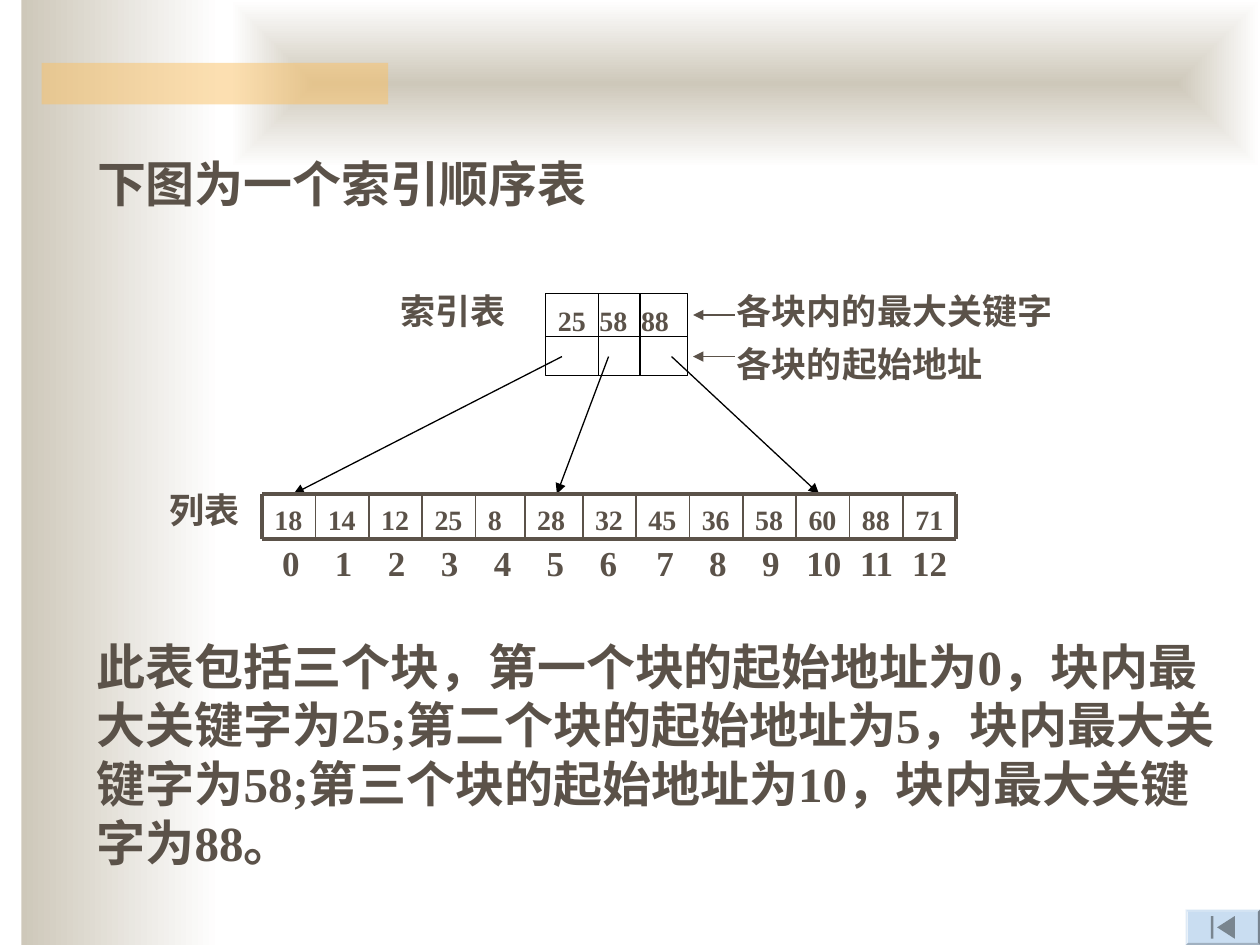
from dataclasses import dataclass
from itertools import accumulate

import pptx
import pptx.dml.color
import pptx.enum.shapes
import pptx.enum.text
import pptx.oxml.ns
import pptx.util
from lxml import etree
from pptx.util import Inches

COLORS = {
    "text": "5B5249",
    "black": "000000",
    "sand": "CEC8BA",
    "white": "FFFFFF",
    "accent": "FAC164",
    "button": "C9DDF1",
    "icon": "79858F",
}
FONT = "Times New Roman"
SHAPE = pptx.enum.shapes.MSO_SHAPE
qn = pptx.oxml.ns.qn


@dataclass
class Label:
    text: str
    left: float
    top: float
    width: float
    height: float = 0.44
    size: int = 20
    margin_top: float = 0.05


@dataclass
class Line:
    start: tuple[float, float]
    end: tuple[float, float]
    color: str = "black"
    width: float = 0.75
    arrow: bool = False


def rgb(name: str):
    return pptx.dml.color.RGBColor.from_string(COLORS[name])


def fill_text(shape, label: Label) -> None:
    """Place a text shape and give it the label's wording."""
    shape.left, shape.top = Inches(label.left), Inches(label.top)
    shape.width, shape.height = Inches(label.width), Inches(label.height)
    frame = shape.text_frame
    frame.word_wrap = True
    frame.auto_size = pptx.enum.text.MSO_AUTO_SIZE.NONE
    frame.vertical_anchor = pptx.enum.text.MSO_ANCHOR.TOP
    frame.margin_top = Inches(label.margin_top)
    paragraph = frame.paragraphs[0]
    paragraph.text = label.text
    paragraph.alignment = pptx.enum.text.PP_ALIGN.LEFT
    font = paragraph.font
    font.name = FONT
    font.size = pptx.util.Pt(label.size)
    font.bold = True
    font.color.rgb = rgb("text")


def add_label(slide, label: Label):
    shape = slide.shapes.add_textbox(0, 0, 0, 0)
    fill_text(shape, label)
    return shape


def set_tabs(shape, stops: list[float], alignment: str) -> None:
    properties = shape.text_frame.paragraphs[0]._p.get_or_add_pPr()
    tabs = etree.Element(qn("a:tabLst"))
    for stop in stops:
        etree.SubElement(tabs, qn("a:tab"), pos=str(Inches(stop)), algn=alignment)
    properties.insert(0, tabs)


def add_block(slide, kind, left: float, top: float, width: float, height: float, color: str):
    shape = slide.shapes.add_shape(
        kind, Inches(left), Inches(top), Inches(width), Inches(height))
    paint(shape, color)
    return shape


def paint(shape, color: str) -> None:
    shape.shadow.inherit = False
    shape.line.fill.background()
    shape.fill.solid()
    shape.fill.fore_color.rgb = rgb(color)


def set_gradient(shape) -> None:
    """Fade the shape from sand to white, left to right."""
    shape.fill.gradient()
    shape.fill.gradient_angle = 0
    for stop, (position, color) in zip(shape.fill.gradient_stops, ((0, "sand"), (1, "white"))):
        stop.position = position
        stop.color.rgb = rgb(color)


def add_backdrop(slide) -> None:
    set_gradient(add_block(slide, SHAPE.RECTANGLE, 0.17, 0, 1.58, 7.5, "sand"))

    banner = add_block(slide, SHAPE.RECTANGLE, 1.83, 0, 8.17, 1.33, "sand")
    set_gradient(banner)
    linear = banner.element.find(".//" + qn("a:lin"))
    centered = etree.Element(qn("a:path"), path="rect")
    etree.SubElement(centered, qn("a:fillToRect"), l="50000", t="50000", r="50000", b="50000")
    linear.getparent().replace(linear, centered)

    bar = add_block(slide, SHAPE.RECTANGLE, 0.33, 0.5, 2.75, 0.33, "accent")
    color = bar.element.spPr.find(qn("a:solidFill"))[0]
    etree.SubElement(color, qn("a:alpha"), val="50000")


def add_start_button(slide) -> None:
    button = add_block(slide, SHAPE.BEVEL, 9.41, 7.22, 0.59, 0.28, "button")
    button.adjustments[0] = 0.06
    add_block(slide, SHAPE.RECTANGLE, 9.61, 7.27, 0.02, 0.18, "icon")
    builder = slide.shapes.build_freeform(Inches(9.66), Inches(7.36))
    builder.add_line_segments([(Inches(9.8), Inches(7.27)), (Inches(9.8), Inches(7.45))])
    paint(builder.convert_to_shape(), "icon")


def add_line(slide, line: Line) -> None:
    connector = slide.shapes.add_connector(
        pptx.enum.shapes.MSO_CONNECTOR.STRAIGHT,
        *(Inches(value) for value in (*line.start, *line.end)))
    connector.line.color.rgb = rgb(line.color)
    connector.line.width = pptx.util.Pt(line.width)
    if line.arrow:
        etree.SubElement(connector.line._get_or_add_ln(), qn("a:tailEnd"), type="triangle")
    etree.SubElement(connector.element.spPr, qn("a:effectLst"))


def add_index(slide) -> None:
    """Draw the index: largest keys above, start addresses below."""
    left, right, top, middle, bottom = 4.33, 5.46, 2.33, 2.67, 2.98
    box = slide.shapes.add_shape(SHAPE.RECTANGLE, 0, 0, 0, 0)
    box.shadow.inherit = False
    box.fill.background()
    box.line.color.rgb = rgb("black")
    box.line.width = pptx.util.Pt(0.75)
    fill_text(box, Label("25\t58\t88", left, top, right - left, bottom - top, 16, 0.08))
    set_tabs(box, [0.33, 0.66], "l")
    add_line(slide, Line((left, middle), (right, middle)))
    for x in (4.75, 5.08):
        add_line(slide, Line((x, top), (x, bottom)))


def add_list(slide, keys: list[int]) -> None:
    """Draw the row of keys with its dividing lines."""
    left, right, top, bottom = 2.08, 7.59, 3.92, 4.28
    special_widths = {8: 0.39, 28: 0.46}
    usual_width = (right - left - sum(special_widths.values())) / (len(keys) - len(special_widths))
    widths = [special_widths.get(key, usual_width) for key in keys]
    edges = list(accumulate(widths, initial=left))
    for key, x, width in zip(keys, edges, widths):
        add_label(slide, Label(str(key), x, top, width, 0.37, 16, 0.07))
    for y in (top, bottom):
        add_line(slide, Line((left, y), (right, y), "text", 2.25))
    for i, x in enumerate(edges):
        weight = 2.25 if i in (0, len(keys)) else 1
        add_line(slide, Line((x, top), (x, bottom), "text", weight))


def main() -> None:
    presentation = pptx.Presentation()
    presentation.slide_width, presentation.slide_height = Inches(10), Inches(7.5)
    slide = presentation.slides.add_slide(presentation.slide_layouts[5])

    add_backdrop(slide)
    add_start_button(slide)
    title = slide.shapes.title
    fill_text(title, Label("下图为一个索引顺序表", 0.67, 1.17, 9, 0.57, 28))
    title.element.getparent().append(title.element)  # in front of the backdrop

    keys = [18, 14, 12, 25, 8, 28, 32, 45, 36, 58, 60, 88, 71]
    add_index(slide)
    for start, end_x in (((4.46, 2.83), 2.33), ((4.83, 2.83), 4.42), ((5.33, 2.83), 6.5)):
        add_line(slide, Line(start, (end_x, 3.92), arrow=True))
    add_list(slide, keys)
    for y in (2.5, 2.83):
        add_line(slide, Line((5.83, y), (5.5, y), "text", arrow=True))

    for label in (
        Label("索引表", 3.08, 2.25, 1.08),
        Label("各块内的最大关键字", 5.75, 2.25, 2.83),
        Label("各块的起始地址", 5.75, 2.67, 2.42),
        Label("列表", 1.25, 3.83, 0.83),
        Label("此表包括三个块，第一个块的起始地址为0，块内最大关键字为25;"
              "第二个块的起始地址为5，块内最大关键字为58;"
              "第三个块的起始地址为10，块内最大关键字为88。", 0.67, 5, 9.08, 1.97, 28),
    ):
        add_label(slide, label)

    positions = range(len(keys))
    row = add_label(slide, Label("".join(f"\t{i}" for i in positions), 2, 4.25, 6.33))
    set_tabs(row, [0.21 + 0.42 * i + (0.03 if i > 6 else 0) for i in positions], "ctr")

    presentation.save("out.pptx")


if __name__ == "__main__":
    main()
